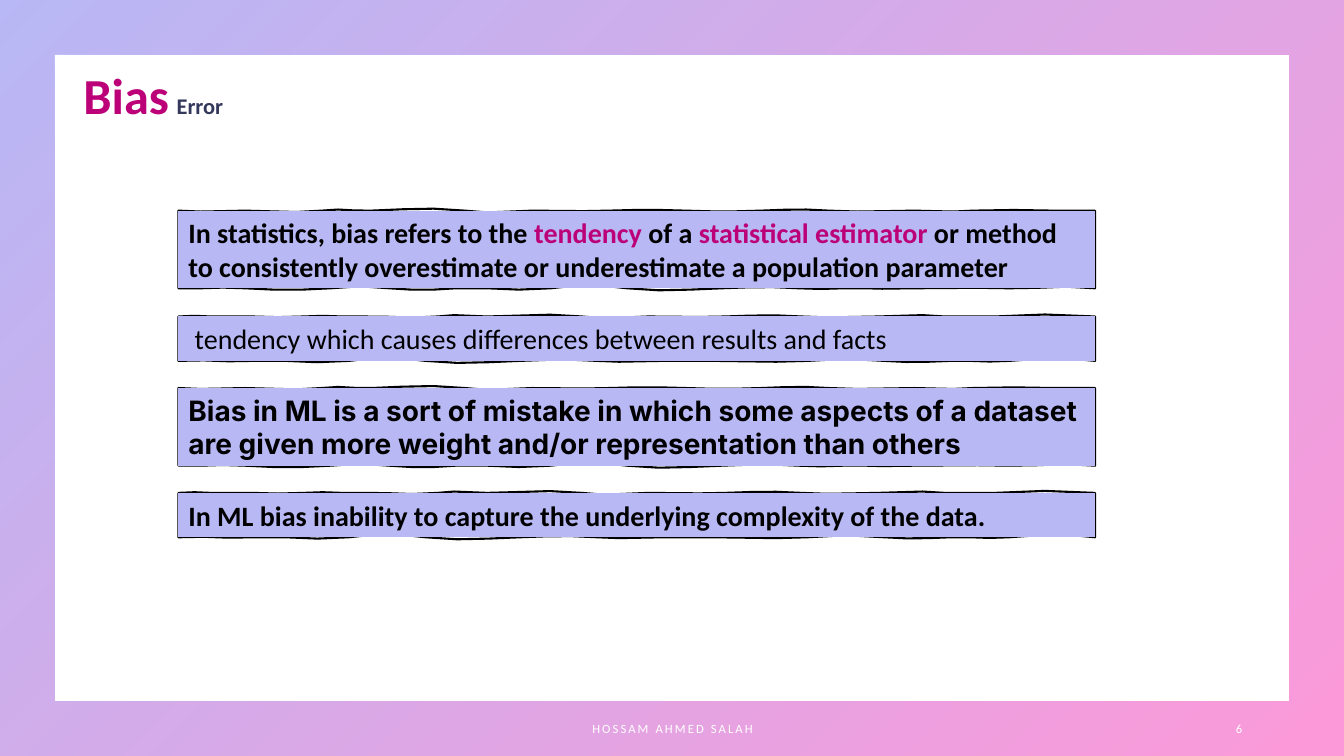
import copy

import pptx
import pptx.dml.color
import pptx.enum.shapes
import pptx.enum.text
import pptx.oxml
import pptx.oxml.ns
import pptx.oxml.xmlchemy
import pptx.util
from pptx.util import Inches

MAGENTA = pptx.dml.color.RGBColor(0xBB, 0x00, 0x78)
NAVY = pptx.dml.color.RGBColor(0x34, 0x38, 0x5A)
BLACK = pptx.dml.color.RGBColor(0x00, 0x00, 0x00)
WHITE = pptx.dml.color.RGBColor(0xFF, 0xFF, 0xFF)
LAVENDER = pptx.dml.color.RGBColor(0xB8, 0xB8, 0xF5)
FRAME_BLUE = pptx.dml.color.RGBColor(0x4D, 0x4E, 0xE6)
FRAME_PINK = pptx.dml.color.RGBColor(0xF9, 0x00, 0xA0)

ANCHOR = pptx.enum.text.MSO_ANCHOR
ALIGN = pptx.enum.text.PP_ALIGN

BOX_LEFT, BOX_RIGHT = 1.77, 10.86
SHORT, TALL = 0.44, 0.77

# Hand-drawn edges: (x, swell), where the edge bends by swell before x and by -swell after it.
TOP_EDGE = {
    TALL: [(BOX_LEFT, -.02), (2.43, 0), (3.19, .03), (3.68, .01), (4.61, -.04),
           (5.28, 0), (6.04, .01), (6.8, -.01), (7.55, .01), (8.22, -.02),
           (9.07, 0), (9.65, .02), (BOX_RIGHT, .01)],
    SHORT: [(BOX_LEFT, .02), (2.25, .01), (3.01, .02), (3.58, .01), (4.34, .03),
            (4.83, 0), (5.77, -.04), (6.43, 0), (7.19, .01), (7.95, -.02),
            (8.71, 0), (9.37, -.03), (BOX_RIGHT, -.06)],
}
BOTTOM_EDGE = {
    TALL: [(BOX_LEFT, -.01), (2.43, -.02), (3.28, .02), (3.86, -.02), (4.52, .02),
           (5.46, .04), (6.22, -.04), (7.16, .01), (7.92, -.02), (8.59, -.01),
           (9.07, 0), (10.01, -.01), (BOX_RIGHT, -.04)],
    SHORT: [(BOX_LEFT, .02), (2.52, .02), (3.46, .04), (4.22, -.04), (5.16, .01),
            (5.92, -.02), (6.58, 0), (7.07, 0), (8.01, .02), (8.77, -.02),
            (9.43, .01), (10.01, .02), (BOX_RIGHT, -.05)],
}

STATEMENTS = [
    (2.09, TALL, [
        ("In statistics, bias refers to the ", {"bold": True}),
        ("tendency ", {"bold": True, "color": MAGENTA}),
        ("of a ", {"bold": True}),
        ("statistical estimator ", {"bold": True, "color": MAGENTA}),
        ("or method to consistently overestimate or underestimate "
         "a population parameter", {"bold": True})]),
    (3.14, SHORT, [
        (" tendency which causes differences between results and facts", {})]),
    (3.85, TALL, [
        ("Bias in ML is a sort of mistake in which some aspects of a dataset "
         "are given more weight and/or representation than others",
         {"bold": True, "font": "Inter"})]),
    (4.89, SHORT, [
        ("In ML bias inability to capture the underlying complexity of the data.",
         {"bold": True})]),
]


def add_run(paragraph, text, size=20, color=BLACK, bold=False, font="Calibri", spacing=None):
    run = paragraph.add_run()
    run.text = text
    run.font.size = pptx.util.Pt(size)
    run.font.color.rgb = color
    run.font.bold = bold
    run.font.name = font
    if spacing:
        run.font._element.set("spc", str(int(spacing * 100)))


def write_text(shape, runs, align=ALIGN.LEFT, anchor=ANCHOR.MIDDLE):
    frame = shape.text_frame
    frame.word_wrap = True
    frame.vertical_anchor = anchor
    paragraph = frame.paragraphs[0]
    paragraph.alignment = align
    for text, style in runs:
        add_run(paragraph, text, **style)


def add_text_box(slide, left, top, width, height, runs, **layout):
    box = slide.shapes.add_textbox(Inches(left), Inches(top), Inches(width), Inches(height))
    write_text(box, runs, **layout)


def add_gradient_frame(slide, width, height):
    frame = slide.shapes.add_shape(
        pptx.enum.shapes.MSO_SHAPE.FRAME, 0, 0, width, height)
    frame.adjustments[0] = 0.072
    frame.shadow.inherit = False
    frame.line.fill.background()
    frame.fill.gradient()
    frame.fill.gradient_angle = 315
    for stop, color, position in zip(frame.fill.gradient_stops, (FRAME_BLUE, FRAME_PINK), (0, 1)):
        stop.color.rgb = color
        stop.position = position
    for color in frame._element.spPr.iter(pptx.oxml.ns.qn("a:srgbClr")):
        alpha = pptx.oxml.xmlchemy.OxmlElement("a:alpha")
        alpha.set("val", "40000")
        color.append(alpha)


def wavy_edge(knots, baseline, steps=3):
    """Sample a smooth curve that crosses the baseline at each knot."""
    points = [(BOX_LEFT, baseline)]
    for (start, swell_start), (end, swell_end) in zip(knots, knots[1:]):
        for step in range(1, steps + 1):
            t = step / steps
            bend = 3 * t * (1 - t) * (t * swell_end - (1 - t) * swell_start)
            points.append((start + t * (end - start), baseline + bend))
    return [(Inches(x), Inches(y)) for x, y in points]


def split_outline_from_fill(shape):
    """Put the first contour in a path with line only, the second in one with fill only."""
    outline = next(shape._element.iter(pptx.oxml.ns.qn("a:path")))
    filling = copy.deepcopy(outline)
    outline.addnext(filling)
    second = [child.tag for child in outline].index(pptx.oxml.ns.qn("a:moveTo"), 1)
    for child in list(outline)[second:]:
        outline.remove(child)
    for child in list(filling)[:second]:
        filling.remove(child)
    outline.set("fill", "none")
    filling.set("stroke", "0")


def add_sketched_box(slide, top, height, runs):
    bottom = top + height
    outline = (wavy_edge(TOP_EDGE[height], top)
               + wavy_edge(BOTTOM_EDGE[height], bottom)[::-1])
    corners = [(BOX_LEFT, top), (BOX_RIGHT, top), (BOX_RIGHT, bottom), (BOX_LEFT, bottom)]
    filling = [(Inches(x), Inches(y)) for x, y in corners]
    builder = slide.shapes.build_freeform(*outline[0])
    builder.add_line_segments(outline[1:], close=True)
    builder.move_to(*filling[0])
    builder.add_line_segments(filling[1:], close=True)
    box = builder.convert_to_shape()
    split_outline_from_fill(box)
    box.shadow.inherit = False
    box.fill.solid()
    box.fill.fore_color.rgb = LAVENDER
    box.line.color.rgb = BLACK
    box.line.width = pptx.util.Pt(1.5)
    write_text(box, runs)


def main():
    presentation = pptx.Presentation()
    presentation.slide_width = Inches(13.33)
    presentation.slide_height = Inches(7.5)
    slide = presentation.slides.add_slide(presentation.slide_layouts[6])

    add_gradient_frame(slide, presentation.slide_width, presentation.slide_height)
    add_text_box(slide, 0.73, 0.59, 4.57, 0.71, [
        ("Bias", {"size": 36, "color": MAGENTA, "bold": True}),
        (" ", {"size": 24, "color": MAGENTA, "bold": True}),
        ("Error", {"size": 16, "color": NAVY, "bold": True})], anchor=ANCHOR.TOP)
    for top, height, runs in STATEMENTS:
        add_sketched_box(slide, top, height, runs)

    footer_style = {"size": 9, "color": WHITE, "spacing": 1.5}
    add_text_box(slide, 4.42, 7.03, 4.5, 0.4,
                 [("HOSSAM AHMED SALAH", footer_style)], align=ALIGN.CENTER)
    add_text_box(slide, 9.42, 7.03, 3, 0.4, [("6", footer_style)], align=ALIGN.RIGHT)
    presentation.save("out.pptx")


if __name__ == "__main__":
    main()
